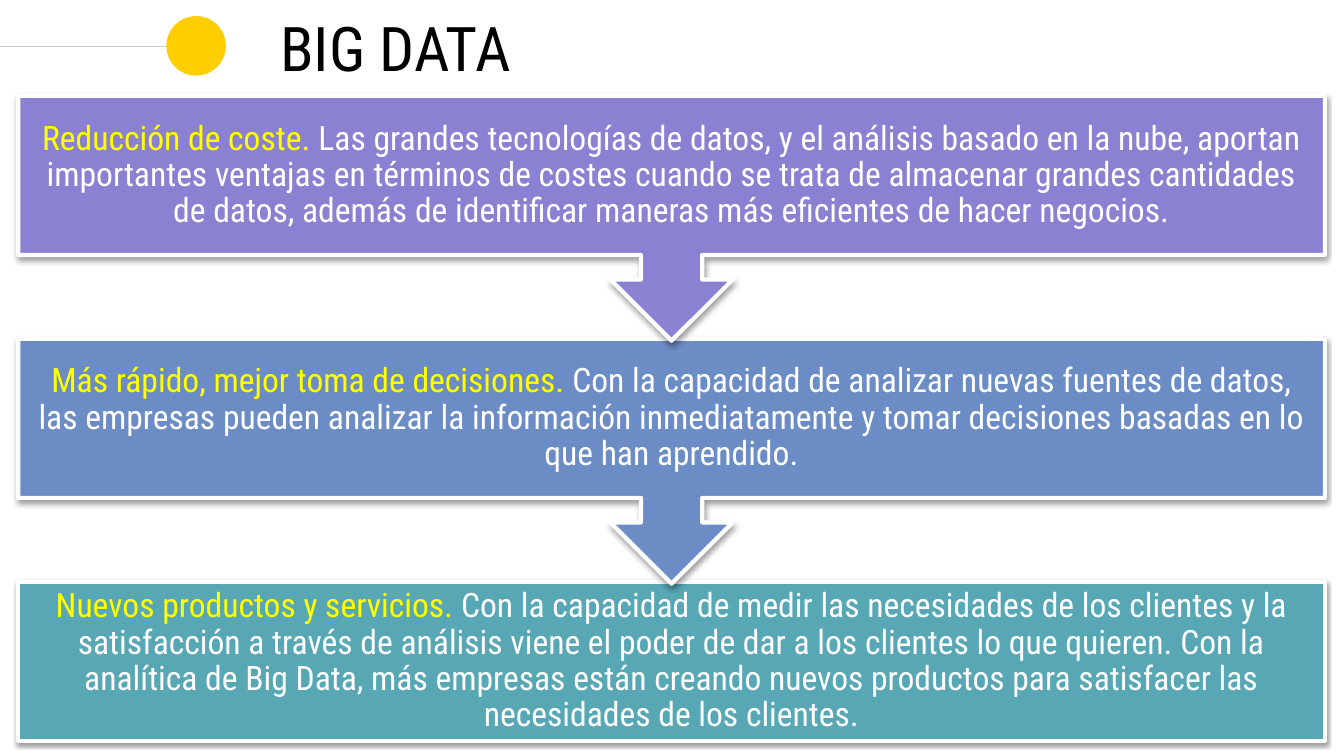
from dataclasses import dataclass

from lxml import etree
from pptx import Presentation
from pptx.dml.color import RGBColor
from pptx.enum.shapes import MSO_CONNECTOR, MSO_SHAPE
from pptx.enum.text import MSO_ANCHOR, PP_ALIGN
from pptx.oxml.ns import qn
from pptx.shapes.autoshape import Shape
from pptx.slide import Slide
from pptx.util import Emu, Pt

RECT = MSO_SHAPE.RECTANGLE
CALLOUT = MSO_SHAPE.UP_ARROW_CALLOUT
OVAL = MSO_SHAPE.OVAL
STRAIGHT = MSO_CONNECTOR.STRAIGHT
MIDDLE = MSO_ANCHOR.MIDDLE
LEFT, CENTER = PP_ALIGN.LEFT, PP_ALIGN.CENTER

SCALE = 9144  # EMU in one px, 100 px to the inch
FONT = "Roboto Condensed"
COLORS = {
    "rule": "CCCCCC", "dot": "FFCD00", "title": "000000",
    "lead": "FFFF00", "body": "FFFFFF", "edge": "FFFFFF", "shade": "000000",
    "violet": "8B81D2", "blue": "6B8CC4", "teal": "57A7B5",
}

# Step layout
STEP_X, STEP_Y, STEP_W = 18, 95, 1296
BOX_H, CALL_H, PITCH = 158, 243, 241


@dataclass
class Step:
    color: str
    lead: str
    body: str


STEPS = [
    Step("violet", "Reducción de coste. ",
         "Las grandes tecnologías de datos, y el análisis basado en la nube, "
         "aportan importantes ventajas en términos de costes cuando se trata "
         "de almacenar grandes cantidades de datos, además de identificar "
         "maneras más eficientes de hacer negocios."),
    Step("blue", "Más rápido, mejor toma de decisiones. ",
         "Con la capacidad de analizar nuevas fuentes de datos, las empresas "
         "pueden analizar la información inmediatamente y tomar decisiones "
         "basadas en lo que han aprendido."),
    Step("teal", "Nuevos productos y servicios. ",
         "Con la capacidad de medir las necesidades de los clientes y la "
         "satisfacción a través de análisis viene el poder de dar a los "
         "clientes lo que quieren. Con la analítica de Big Data, más empresas "
         "están creando nuevos productos para satisfacer las necesidades de "
         "los clientes."),
]


def px(n: int) -> Emu:
    return Emu(n * SCALE)


def rgb(name: str) -> RGBColor:
    return RGBColor.from_string(COLORS[name])


def add_shade(shape: Shape) -> None:
    """Soft shadow straight below the shape."""
    fx = shape._element.spPr.find(qn("a:effectLst"))
    form = {"blurRad": Pt(3.1), "dist": Pt(1.6), "dir": 90 * 60000,
            "algn": "ctr", "rotWithShape": 0}
    shade = etree.SubElement(fx, qn("a:outerShdw"))
    for key, val in form.items():
        shade.set(key, str(int(val) if key != "algn" else val))
    tone = etree.SubElement(shade, qn("a:srgbClr"), val=COLORS["shade"])
    etree.SubElement(tone, qn("a:alpha"), val="38000")


def add_form(slide: Slide, kind: MSO_SHAPE, box: tuple[int, int, int, int],
             color: str) -> Shape:
    shape = slide.shapes.add_shape(kind, *map(px, box))
    shape.shadow.inherit = False
    shape.fill.solid()
    shape.fill.fore_color.rgb = rgb(color)
    shape.line.fill.background()
    return shape


def add_text(slide: Slide, box: tuple[int, int, int, int],
             runs: list[tuple[str, str]], size: int, inset: int,
             form: dict) -> None:
    frame = slide.shapes.add_textbox(*map(px, box)).text_frame
    frame.word_wrap = True
    frame.vertical_anchor = MIDDLE
    for side in ("left", "top", "right", "bottom"):
        setattr(frame, f"margin_{side}", px(inset))
    para = frame.paragraphs[0]
    for key, val in form.items():
        setattr(para, key, val)
    for text, color in runs:
        run = para.add_run()
        run.text = text
        for key, val in {"name": FONT, "size": Pt(size)}.items():
            setattr(run.font, key, val)
        run.font.color.rgb = rgb(color)


def add_head(slide: Slide) -> None:
    rule = slide.shapes.add_connector(STRAIGHT, 0, px(46), px(201), px(46))
    rule.line.color.rgb = rgb("rule")
    rule.line.width = Pt(0.75)
    etree.SubElement(rule._element.spPr, qn("a:effectLst"))
    add_form(slide, OVAL, (165, 16, 59, 59), "dot")
    add_text(slide, (268, 15, 1058, 64), [("BIG DATA", "title")], 44, 10,
             {"alignment": LEFT})


def add_step(slide: Slide, step: Step, top: int, last: bool) -> None:
    kind, high = (RECT, BOX_H) if last else (CALLOUT, CALL_H)
    shape = add_form(slide, kind, (STEP_X, top, STEP_W, high), step.color)
    shape.rotation = 0 if last else 180
    shape.line.color.rgb = rgb("edge")
    shape.line.width = Pt(3)
    add_shade(shape)
    add_text(slide, (STEP_X, top, STEP_W, BOX_H),
             [(step.lead, "lead"), (step.body, "body")], 24, 19,
             {"alignment": CENTER, "line_spacing": 0.9})


def main() -> None:
    deck = Presentation()
    deck.slide_width, deck.slide_height = px(1333), px(750)
    slide = deck.slides.add_slide(deck.slide_layouts[6])
    add_head(slide)
    # Last step first, so each arrow tip lies over the box below it
    for i, step in reversed(list(enumerate(STEPS))):
        add_step(slide, step, STEP_Y + i * PITCH, i == len(STEPS) - 1)
    deck.save("out.pptx")


if __name__ == "__main__":
    main()
